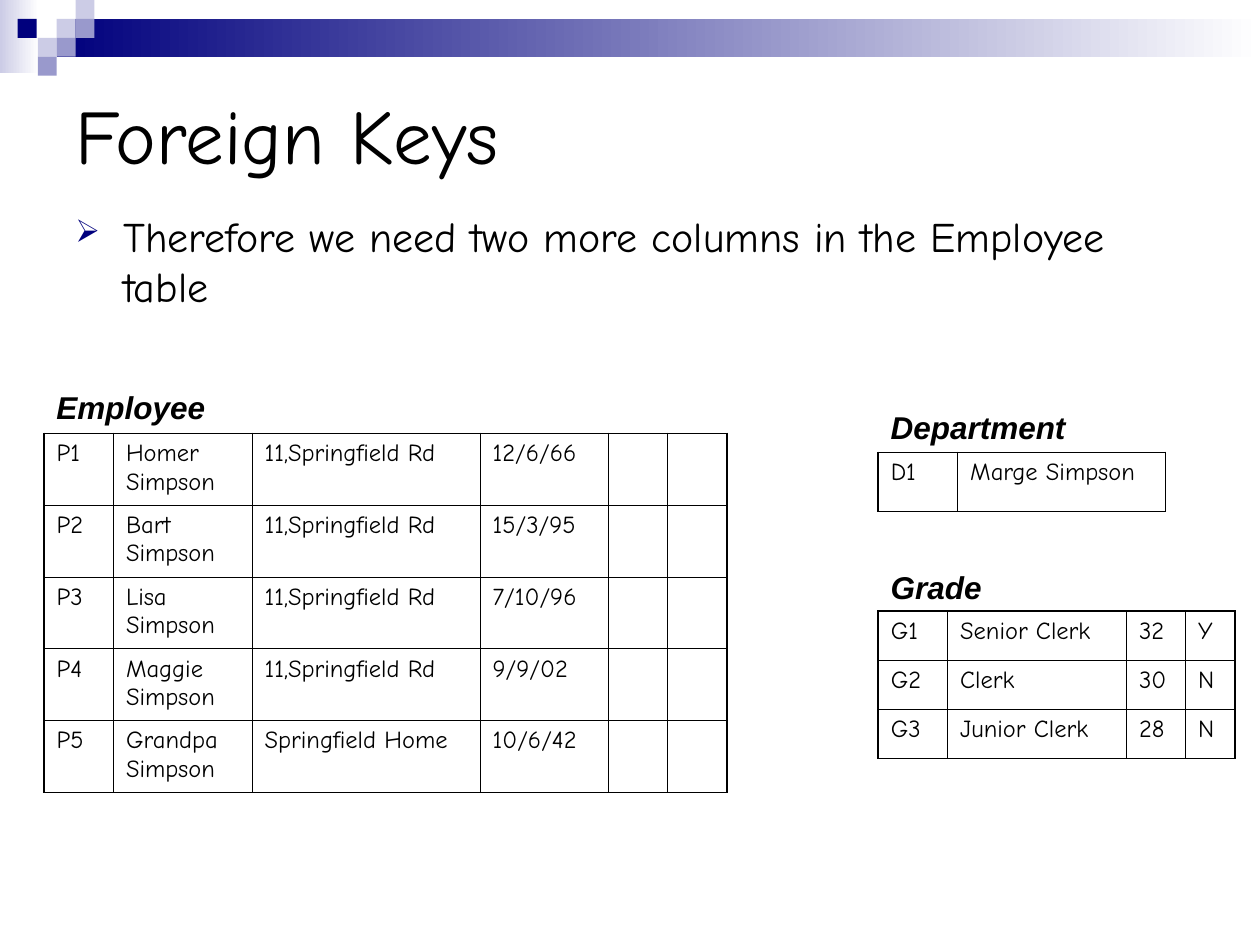
"""Build the Foreign Keys slide with its employee, department and grade tables."""
from dataclasses import dataclass

from lxml.etree import SubElement
from pptx import Presentation
from pptx.dml.color import RGBColor
from pptx.enum.shapes import MSO_SHAPE
from pptx.enum.text import MSO_ANCHOR, MSO_AUTO_SIZE, PP_ALIGN
from pptx.oxml import parse_xml
from pptx.oxml.ns import nsdecls, qn
from pptx.slide import Slide
from pptx.table import _Cell
from pptx.text.text import TextFrame, _Paragraph
from pptx.util import Inches, Pt

NAVY, LILAC, PALE, WHITE, BLACK = "00007D", "9999CC", "CCCCE6", "FFFFFF", "000000"
BODY_FONT, LABEL_FONT = "Comic Neue", "Arial"
OUTER, INNER = 1.08, 0.45
SQUARE = 0.15


@dataclass
class Band:
    left: float
    top: float
    width: float
    height: float
    start: str


@dataclass
class Square:
    left: float
    top: float
    color: str


@dataclass
class DataTable:
    name: str
    left: float
    top: float
    label_top: float
    row_height: float
    widths: list[float]
    rows: list[list[str]]


BANDS = [
    Band(0, 0, 0.31, 0.58, PALE),
    Band(0.45, 0.15, 9.55, 0.3, NAVY),
]
SQUARES = [
    Square(0.45, 0.15, PALE),
    Square(0.6, 0, PALE),
    Square(0.6, 0.15, LILAC),
    Square(0.3, 0.3, PALE),
    Square(0.14, 0.15, NAVY),
    Square(0.45, 0.3, LILAC),
    Square(0.3, 0.45, LILAC),
]
TABLES = [
    DataTable("Department", 6.97, 3.59, 3.19, 0.47, [0.63, 1.65],
              [["D1", "Marge Simpson"]]),
    DataTable("Grade", 6.97, 4.85, 4.46, 0.39, [0.55, 1.42, 0.47, 0.39],
              [["G1", "Senior Clerk", "32", "Y"],
               ["G2", "Clerk", "30", "N"],
               ["G3", "Junior Clerk", "28", "N"]]),
    DataTable("Employee", 0.35, 3.44, 3.03, 0.57, [0.55, 1.1, 1.81, 1.02, 0.47, 0.47],
              [["P1", "Homer Simpson", "11,Springfield Rd", "12/6/66", "", ""],
               ["P2", "Bart Simpson", "11,Springfield Rd", "15/3/95", "", ""],
               ["P3", "Lisa Simpson", "11,Springfield Rd", "7/10/96", "", ""],
               ["P4", "Maggie Simpson", "11,Springfield Rd", "9/9/02", "", ""],
               ["P5", "Grandpa Simpson", "Springfield Home", "10/6/42", "", ""]]),
]


def rgb(color: str) -> RGBColor:
    return RGBColor.from_string(color)


def write(tf: TextFrame, text: str, size: int, font: str = BODY_FONT,
          strong: bool = False) -> _Paragraph:
    tf.text = text
    p = tf.paragraphs[0]
    p.alignment = PP_ALIGN.LEFT
    for r in p.runs:
        r.font.size = Pt(size)
        r.font.name = font
        r.font.bold = r.font.italic = strong
        r.font.color.rgb = rgb(BLACK)
    return p


def add_rect(s: Slide, left: float, top: float, width: float, height: float):
    sp = s.shapes.add_shape(MSO_SHAPE.RECTANGLE, Inches(left), Inches(top),
                            Inches(width), Inches(height))
    sp.shadow.inherit = False
    sp.line.fill.background()
    return sp


def add_band(s: Slide, band: Band) -> None:
    fill = add_rect(s, band.left, band.top, band.width, band.height).fill
    fill.gradient()
    fill.gradient_angle = 0
    for stop, position, color in zip(fill.gradient_stops, (0, 1), (band.start, WHITE)):
        stop.position = position
        stop.color.rgb = rgb(color)


def add_square(s: Slide, square: Square) -> None:
    fill = add_rect(s, square.left, square.top, SQUARE, SQUARE).fill
    fill.solid()
    fill.fore_color.rgb = rgb(square.color)


def set_borders(cell: _Cell, outer: dict[str, bool]) -> None:
    tcPr = cell._tc.get_or_add_tcPr()
    for i, (side, is_outer) in enumerate(outer.items()):
        width = Pt(OUTER if is_outer else INNER)
        tcPr.insert(i, parse_xml(
            f'<a:ln{side} {nsdecls("a")} w="{width}"><a:solidFill>'
            f'<a:srgbClr val="{BLACK}"/></a:solidFill></a:ln{side}>'))


def add_data_table(s: Slide, data: DataTable) -> None:
    last_row, last_col = len(data.rows) - 1, len(data.widths) - 1
    table = s.shapes.add_table(
        last_row + 1, last_col + 1, Inches(data.left), Inches(data.top),
        Inches(sum(data.widths)), Inches(data.row_height * len(data.rows))).table
    table.first_row = table.horz_banding = False
    for column, width in zip(table.columns, data.widths):
        column.width = Inches(width)
    for i, values in enumerate(data.rows):
        table.rows[i].height = Inches(data.row_height)
        for j, value in enumerate(values):
            cell = table.cell(i, j)
            cell.fill.background()
            write(cell.text_frame, value, 14)
            set_borders(cell, {"L": j == 0, "R": j == last_col,
                               "T": i == 0, "B": i == last_row})


def add_label(s: Slide, data: DataTable) -> None:
    tf = s.shapes.add_textbox(Inches(data.left), Inches(data.label_top),
                              Inches(2.2), Inches(0.4)).text_frame
    tf.word_wrap = True
    tf.auto_size = MSO_AUTO_SIZE.SHAPE_TO_FIT_TEXT
    write(tf, data.name, 18, LABEL_FONT, strong=True)


def add_title(s: Slide, text: str) -> None:
    sp = s.shapes.title
    sp.left, sp.top, sp.width, sp.height = map(Inches, (0.5, 0.5, 9, 1.12))
    sp.text_frame.vertical_anchor = MSO_ANCHOR.MIDDLE
    write(sp.text_frame, text, 44)


def add_bullet(s: Slide, text: str) -> None:
    tf = s.shapes.add_textbox(Inches(0.5), Inches(1.62), Inches(9.07), Inches(1.1)).text_frame
    tf.word_wrap = True
    pPr = write(tf, text, 24)._p.get_or_add_pPr()
    pPr.set("marL", str(Inches(0.38)))
    pPr.set("indent", str(-Inches(0.38)))
    SubElement(SubElement(pPr, qn("a:buClr")), qn("a:srgbClr"), val=NAVY)
    SubElement(pPr, qn("a:buSzPct"), val="75000")
    SubElement(pPr, qn("a:buChar"), char="➢")


def main() -> None:
    prs = Presentation()
    prs.slide_width, prs.slide_height = Inches(10), Inches(7.5)
    s = prs.slides.add_slide(prs.slide_layouts[5])
    for band in BANDS:
        add_band(s, band)
    for square in SQUARES:
        add_square(s, square)
    add_title(s, "Foreign Keys")
    add_bullet(s, "Therefore we need two more columns in the Employee table")
    for data in TABLES:
        add_data_table(s, data)
        add_label(s, data)
    prs.save("out.pptx")


if __name__ == "__main__":
    main()
